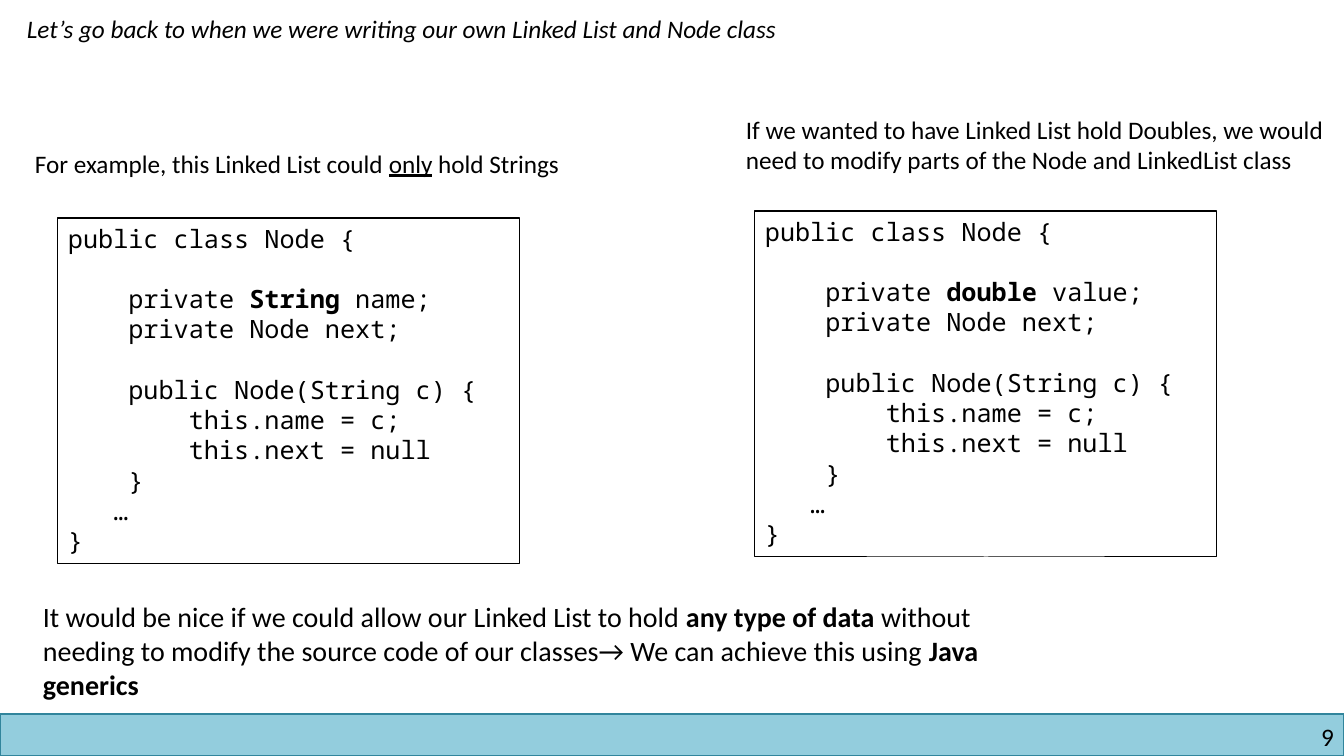
from pptx import Presentation
from pptx.dml.color import RGBColor
from pptx.enum.shapes import MSO_SHAPE
from pptx.enum.text import MSO_ANCHOR, PP_ALIGN
from pptx.util import Pt

PX = 914400 / 100.8
COLORS = {"ink": "000000", "bar": "93CDDD", "edge": "31859C"}
BODY, MONO = "Calibri", "Noto Sans Mono"
BOLD = {"bold": True}
GAP = Pt(21.6)

deck = Presentation()
deck.slide_width, deck.slide_height = round(1344 * PX), round(756 * PX)
slide = deck.slides.add_slide(deck.slide_layouts[6])


def add_box(at, line, fill=None, width=0.75):
    box = slide.shapes.add_shape(MSO_SHAPE.RECTANGLE, *[round(v * PX) for v in at])
    box.shadow.inherit = False
    if fill:
        box.fill.solid()
        box.fill.fore_color.rgb = RGBColor.from_string(COLORS[fill])
    else:
        box.fill.background()
    box.line.color.rgb = RGBColor.from_string(COLORS[line])
    box.line.width = Pt(width)
    return box


def write(par, runs, name=BODY, size=18):
    """Add (text, format) runs to a paragraph in one font."""
    for text, form in runs:
        run = par.add_run()
        run.text = text
        run.font.color.rgb = RGBColor.from_string(COLORS["ink"])
        for key, value in {"name": name, "size": Pt(size), **form}.items():
            setattr(run.font, key, value)


add_box((0, 714, 1344, 42), "edge", "bar", 1)

# Headings and closing remark: place, size, runs
notes = [
    ((17, 8, 850, 40), 18, [
        ("Let’s go back to when we were writing our own Linked List and Node class",
         {"italic": True})]),
    ((25, 143, 616, 40), 18, [
        ("For example, this Linked List could ", {}),
        ("only", {"underline": True}),
        (" hold Strings", {})]),
    ((736, 109, 598, 102), 18, [
        ("If we wanted to have Linked List hold Doubles, we would need to modify "
         "parts of the Node and LinkedList class", {})]),
    ((33, 595, 1010, 112), 20, [
        ("It would be nice if we could allow our Linked List to hold ", {}),
        ("any type of data ", BOLD),
        ("without needing to modify the source code of our classes→ "
         "We can achieve this using ", {}),
        ("Java generics", BOLD)]),
]
for at, size, runs in notes:
    frame = slide.shapes.add_textbox(*[round(v * PX) for v in at]).text_frame
    frame.word_wrap = True
    write(frame.paragraphs[0], runs, size=size)

# The two Node classes differ only in the type and name of one field
for left, top, kind, field in [(58, 218, "String", "name"), (755, 211, "double", "value")]:
    lines = [
        (0, [("public class Node {", {})]),
        (GAP, [("    private ", {}), (kind, BOLD), (f" {field};", {})]),
        (0, [("    private Node next;", {})]),
        (GAP, [("    public Node(String c) {", {})]),
        (0, [("        this.name = c;", {})]),
        (0, [("        this.next = null", {})]),
        (0, [("    }", {})]),
        (0, [("   …", {})]),
        (0, [("}", {})]),
    ]
    frame = add_box((left, top, 462, 346), "ink").text_frame
    frame.word_wrap = True
    frame.vertical_anchor = MSO_ANCHOR.TOP
    for i, (space, runs) in enumerate(lines):
        par = frame.add_paragraph() if i else frame.paragraphs[0]
        par.alignment = PP_ALIGN.LEFT
        if space:
            par.space_before = space
        write(par, runs, MONO)

# Page number
frame = slide.shapes.add_textbox(*[round(v * PX) for v in (1025, 721, 309, 30)]).text_frame
frame.word_wrap = True
for side in ("left", "top", "right", "bottom"):
    setattr(frame, f"margin_{side}", 0)
frame.paragraphs[0].alignment = PP_ALIGN.RIGHT
write(frame.paragraphs[0], [("9", {})])

deck.save("out.pptx")
